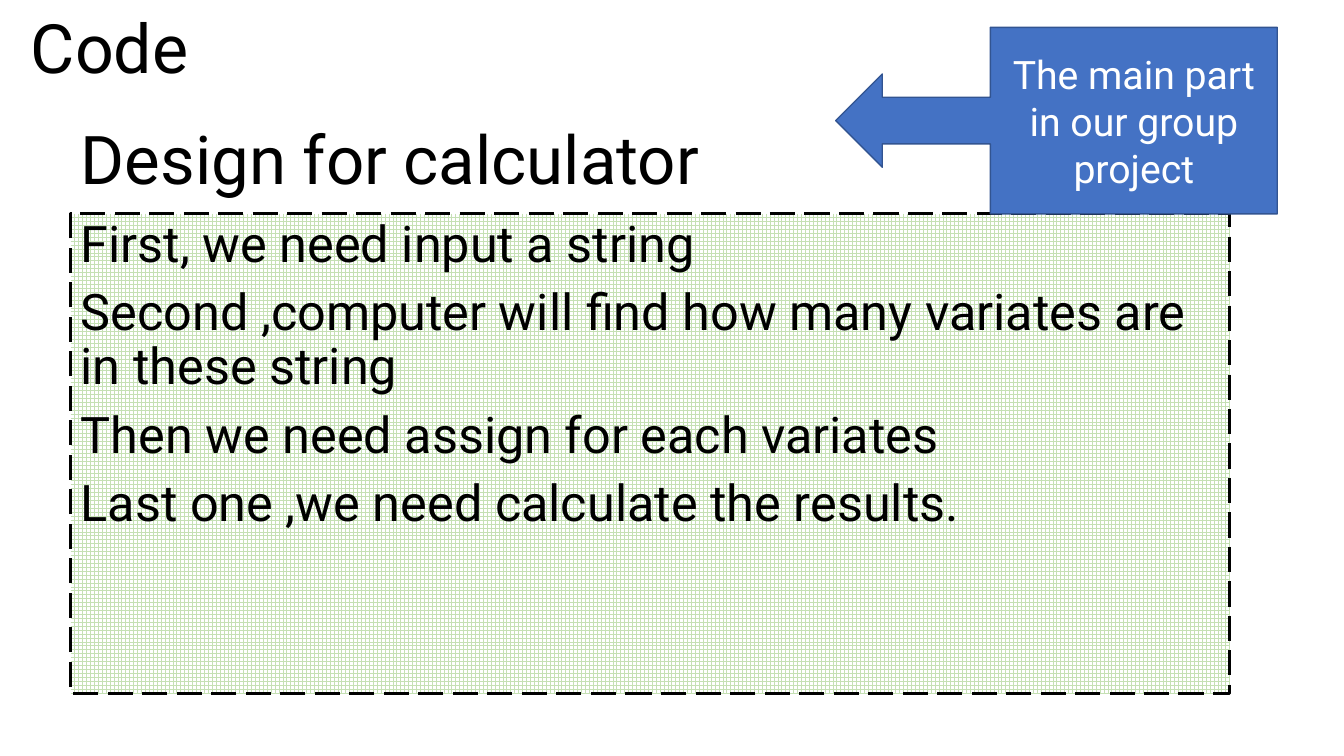
from lxml.etree import SubElement
from pptx import Presentation
from pptx.dml.color import RGBColor
from pptx.enum.dml import MSO_LINE, MSO_PATTERN
from pptx.enum.shapes import MSO_SHAPE
from pptx.enum.text import MSO_ANCHOR as ANCHOR, MSO_AUTO_SIZE, PP_ALIGN as ALIGN
from pptx.oxml.ns import qn
from pptx.util import Cm, Pt

FONT = "Roboto"
BLACK, WHITE = "000000", "FFFFFF"
BLUE, DARK_BLUE, PALE_GREEN = "4472C4", "325491", "C5E0B4"
STEPS = [
    "First, we need input a string",
    "Second ,computer will find how many variates are in these string",
    "Then we need assign for each variates",
    "Last one ,we need calculate the results.",
]


def rgb(hex_color):
    return RGBColor.from_string(hex_color)


def place(sp, box):
    sp.left, sp.top, sp.width, sp.height = (Cm(v) for v in box)


def write(sp, texts, size, color=BLACK, align=ALIGN.LEFT, anchor=ANCHOR.TOP,
          spacing=1.0, before=0):
    """Fill the shape with one single-run paragraph per text."""
    tf = sp.text_frame
    tf.word_wrap = True
    tf.auto_size = MSO_AUTO_SIZE.NONE
    tf.vertical_anchor = anchor
    for i, text in enumerate(texts):
        p = tf.add_paragraph() if i else tf.paragraphs[0]
        p.alignment = align
        p.line_spacing = spacing
        p.space_before = Pt(before)
        r = p.add_run()
        r.text = text
        r.font.name = FONT
        r.font.size = Pt(size)
        r.font.color.rgb = rgb(color)


def remove_bullets(sp):
    for p in sp.text_frame.paragraphs:
        pPr = p._p.get_or_add_pPr()
        pPr.set("marL", "0")
        pPr.set("indent", "0")
        SubElement(pPr, qn("a:buNone"))


def add_title(slide, box):
    sp = slide.shapes.title
    place(sp, box)
    write(sp, ["Design for calculator"], 48, anchor=ANCHOR.MIDDLE, spacing=0.9)


def add_steps(slide, box):
    sp = slide.placeholders[1]
    place(sp, box)
    sp.fill.patterned()
    sp.fill.pattern = MSO_PATTERN.LARGE_GRID
    sp.fill.fore_color.rgb = rgb(PALE_GREEN)
    sp.fill.back_color.rgb = rgb(WHITE)
    sp.line.color.rgb = rgb(BLACK)
    sp.line.width = Pt(2.25)
    sp.line.dash_style = MSO_LINE.LONG_DASH
    write(sp, STEPS, 36, spacing=0.9, before=10)
    remove_bullets(sp)


def add_section_name(slide, box):
    sp = slide.shapes.add_textbox(*(Cm(v) for v in box))
    write(sp, ["Code"], 48.6, spacing=0.8)
    sp.text_frame.margin_top = Cm(0.18)


def add_callout(slide, box):
    sp = slide.shapes.add_shape(MSO_SHAPE.LEFT_ARROW_CALLOUT, *(Cm(v) for v in box))
    sp.shadow.inherit = False
    sp.fill.solid()
    sp.fill.fore_color.rgb = rgb(BLUE)
    sp.line.color.rgb = rgb(DARK_BLUE)
    sp.line.width = Pt(1)
    write(sp, ["The main part in our group project"], 28, WHITE,
          ALIGN.CENTER, ANCHOR.MIDDLE)


def main():
    prs = Presentation()
    prs.slide_width, prs.slide_height = Cm(33.87), Cm(19.05)
    slide = prs.slides.add_slide(prs.slide_layouts[1])
    add_title(slide, (1.78, 2.97, 23.83, 2.24))
    add_steps(slide, (1.78, 5.38, 29.21, 12.09))
    add_section_name(slide, (0.53, 0.36, 29.21, 3.56))
    add_callout(slide, (21.06, 0.69, 11.13, 4.7))
    prs.save("out.pptx")


if __name__ == "__main__":
    main()
